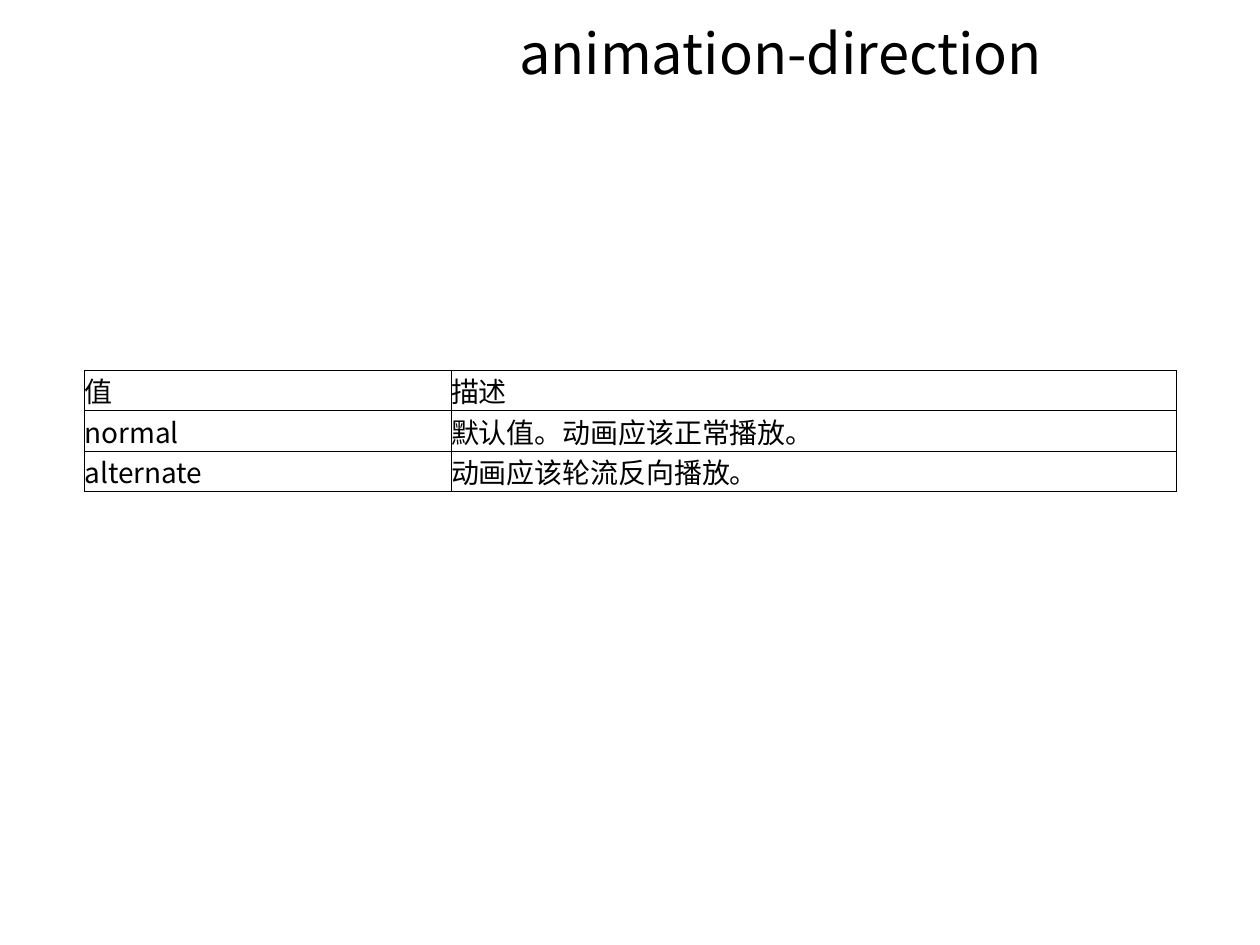
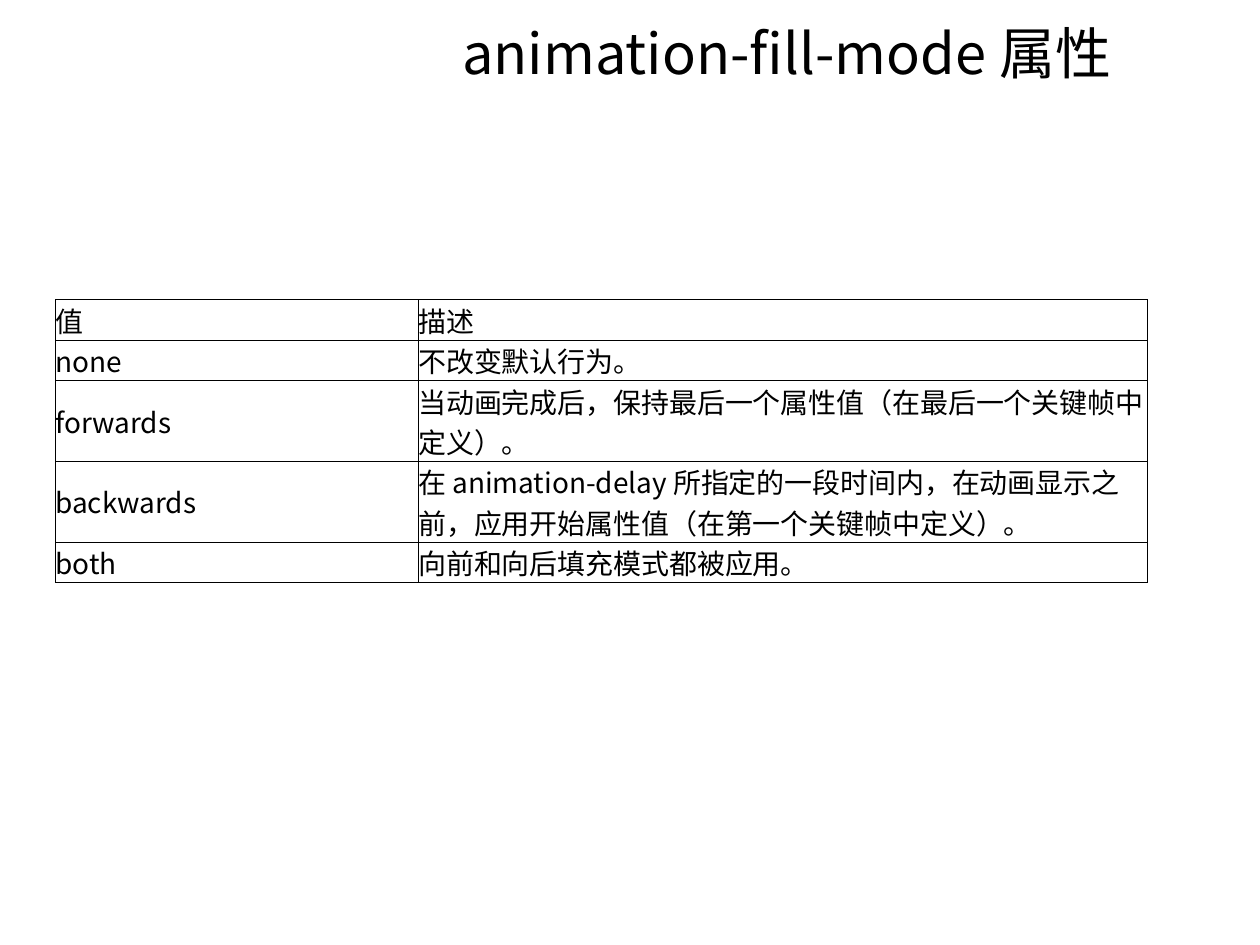
"""Build two slides that explain CSS animation properties in tables."""
import pptx
import pptx.dml.color
import pptx.enum.text
import pptx.oxml.ns
import pptx.util
from lxml import etree

HEADER = ("值", "描述")
SLIDES = [
    {
        "title": "animation-direction ",
        "left": 48.24,
        "top": 211.68,
        "columns": (209.5, 414.7),
        "rows": [
            ("normal", "默认值。动画应该正常播放。", 1),
            ("alternate", "动画应该轮流反向播放。", 1),
        ],
    },
    {
        "title": "animation-fill-mode 属性",
        "left": 31.68,
        "top": 171.36,
        "columns": (207.3, 416.9),
        "rows": [
            ("none", "不改变默认行为。", 1),
            ("forwards", "当动画完成后，保持最后一个属性值（在最后一个关键帧中定义）。", 2),
            ("backwards", "在 animation-delay 所指定的一段时间内，在动画显示之前，"
                          "应用开始属性值（在第一个关键帧中定义）。", 2),
            ("both", "向前和向后填充模式都被应用。", 1),
        ],
    },
]

PAGE_SIZE = (720, 540)
TITLE_BOX = (186.5, 2.16, 526.3, 54.7)
LINE_HEIGHT = 21
FONT = "Noto Sans CJK SC"
INK = "000000"
BORDER_WIDTH = 0.5
MIDDLE = pptx.enum.text.MSO_ANCHOR.MIDDLE
CENTER = pptx.enum.text.PP_ALIGN.CENTER
LEFT = pptx.enum.text.PP_ALIGN.LEFT


def points(values):
    """Convert numbers to lengths in points."""
    return [pptx.util.Pt(value) for value in values]


def color(value):
    """Turn a hex string into a colour."""
    return pptx.dml.color.RGBColor.from_string(value)


def write(frame, text, size=16, ink=INK, align=LEFT):
    """Put one formatted line of text into a text frame."""
    para = frame.paragraphs[0]
    para.alignment = align
    span = para.add_run()
    span.text = text
    span.font.size = pptx.util.Pt(size)
    span.font.name = FONT
    span.font.color.rgb = color(ink)
    properties = span.font._element
    east_asian = etree.Element(pptx.oxml.ns.qn("a:ea"), typeface=FONT)
    properties.find(pptx.oxml.ns.qn("a:latin")).addnext(east_asian)


def add_borders(cell):
    """Draw a thin line on all four sides of a cell."""
    properties = cell._tc.get_or_add_tcPr()
    for side in ("lnL", "lnR", "lnT", "lnB"):
        line = etree.SubElement(properties, pptx.oxml.ns.qn("a:" + side),
                                w=str(pptx.util.Pt(BORDER_WIDTH)))
        fill = etree.SubElement(line, pptx.oxml.ns.qn("a:solidFill"))
        etree.SubElement(fill, pptx.oxml.ns.qn("a:srgbClr"), val=INK)


def add_title(page, text):
    """Place and fill the title placeholder."""
    box = page.shapes.title
    box.left, box.top, box.width, box.height = points(TITLE_BOX)
    box.text_frame.vertical_anchor = MIDDLE
    write(box.text_frame, text, size=32, align=CENTER)


def add_value_table(page, left, top, columns, rows):
    """Add a bordered table of values and descriptions."""
    lines = [(*HEADER, 1), *rows]
    height = LINE_HEIGHT * sum(count for _, _, count in lines)
    place = points((left, top, sum(columns), height))
    table = page.shapes.add_table(len(lines), len(columns), *place).table
    table.first_row = table.horz_banding = False
    for column, width in zip(table.columns, points(columns)):
        column.width = width
    for row, (*texts, count) in zip(table.rows, lines):
        row.height = pptx.util.Pt(LINE_HEIGHT * count)
        for cell, text in zip(row.cells, texts):
            cell.margin_left = cell.margin_right = 0
            cell.margin_top = cell.margin_bottom = 0
            cell.vertical_anchor = MIDDLE
            add_borders(cell)
            cell.fill.background()
            write(cell.text_frame, text)


def main():
    """Build and save the deck."""
    deck = pptx.Presentation()
    deck.slide_width, deck.slide_height = points(PAGE_SIZE)
    title_only = deck.slide_layouts.get_by_name("Title Only")
    for content in SLIDES:
        page = deck.slides.add_slide(title_only)
        add_title(page, content["title"])
        add_value_table(page, content["left"], content["top"],
                        content["columns"], content["rows"])
    deck.save("out.pptx")


if __name__ == "__main__":
    main()
